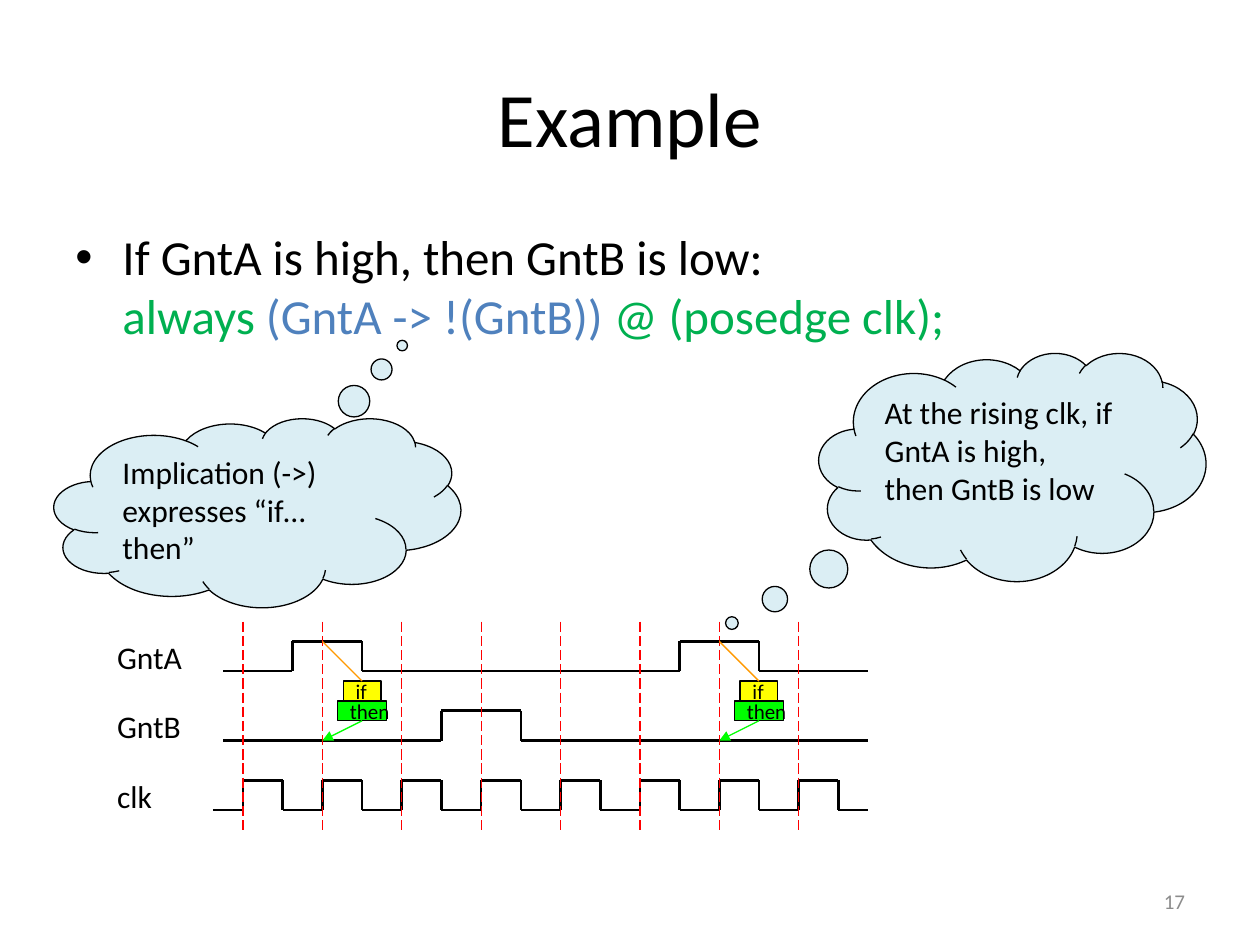
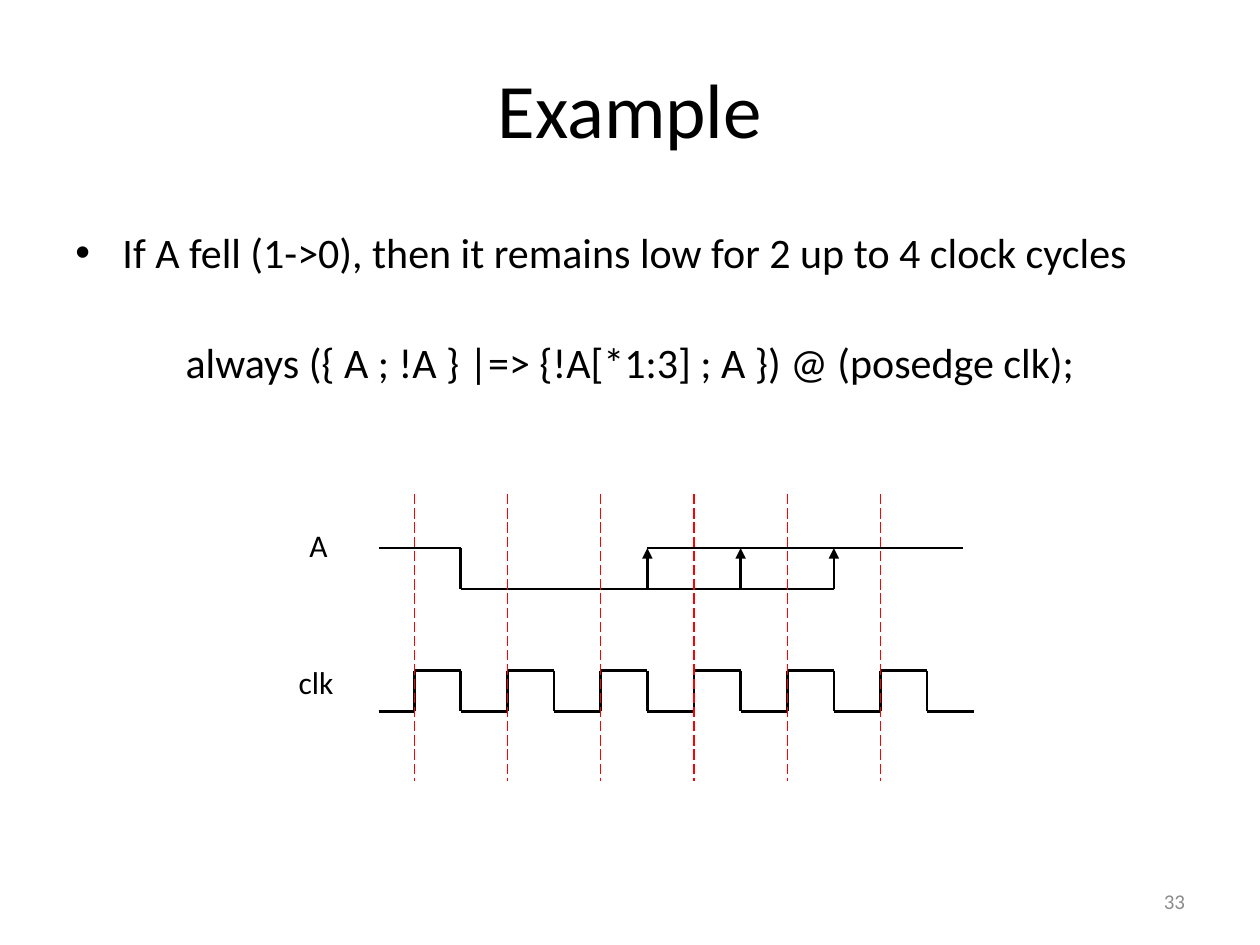
from dataclasses import dataclass
from itertools import pairwise

from lxml.etree import SubElement
from pptx import Presentation
from pptx.dml.color import RGBColor
from pptx.enum.dml import MSO_LINE
from pptx.enum.shapes import MSO_CONNECTOR, MSO_SHAPE
from pptx.enum.text import MSO_ANCHOR, MSO_AUTO_SIZE, PP_ALIGN
from pptx.oxml.ns import qn
from pptx.util import Cm, Pt

FONT = "Calibri"
BLACK, GREY, CLOUD = "000000", "8C8C8C", "DBEEF4"
GREEN, BLUE, RED = "00B050", "4F81BD", "FF0000"
YELLOW, LIME, ORANGE = "FFFF00", "00FF00", "FF9900"
TITLE_ONLY = 5
CLK_START = -0.38


def rgb(value):
    return RGBColor.from_string(value)


def set_attrs(obj, **formats):
    for name, value in formats.items():
        setattr(obj, name, value)


def cm_box(box):
    return [Cm(v) for v in box]


def add_run(p, text, size, color=BLACK):
    r = p.add_run()
    r.text = text
    set_attrs(r.font, name=FONT, size=Pt(size))
    r.font.color.rgb = rgb(color)


def add_textbox(s, box, **frame):
    tf = s.shapes.add_textbox(*cm_box(box)).text_frame
    set_attrs(tf, **{"word_wrap": True, **frame})
    return tf


def add_line(shapes, start, end, color=BLACK, width=1.5, dash=None, arrow=False):
    cxn = shapes.add_connector(MSO_CONNECTOR.STRAIGHT, *cm_box(start + end))
    cxn.line.color.rgb = rgb(color)
    set_attrs(cxn.line, width=Pt(width), dash_style=dash)
    sp_pr = cxn._element.spPr
    if arrow:
        SubElement(sp_pr.find(qn("a:ln")), qn("a:tailEnd"), type="triangle")
    SubElement(sp_pr, qn("a:effectLst"))


def add_filled(shapes, kind, box, fill, lines, size, **frame):
    """Outlined shape with one left-aligned paragraph for each line."""
    sp = shapes.add_shape(kind, *cm_box(box))
    sp.shadow.inherit = False
    sp.fill.solid()
    sp.fill.fore_color.rgb = rgb(fill)
    sp.line.color.rgb = rgb(BLACK)
    sp.line.width = Pt(0.75)
    tf = sp.text_frame
    set_attrs(tf, **frame)
    for i, line in enumerate(lines):
        p = tf.add_paragraph() if i else tf.paragraphs[0]
        p.alignment = PP_ALIGN.LEFT
        add_run(p, line, size)
    return sp


def add_cloud(s, box, tip, lines):
    """Thought cloud; tip is the offset of its tail as a share of its size."""
    sp = add_filled(s.shapes, MSO_SHAPE.CLOUD_CALLOUT, box, CLOUD, lines, 18,
                    word_wrap=True, vertical_anchor=MSO_ANCHOR.TOP)
    for i, value in enumerate(tip):
        sp.adjustments[i] = value


def add_base(prs, title_box, number):
    """Slide with its title and its number."""
    s = prs.slides.add_slide(prs.slide_layouts[TITLE_ONLY])
    title = s.shapes.title
    left, top, width, height = cm_box(title_box)
    set_attrs(title, left=left, top=top, width=width, height=height)
    title.text_frame.vertical_anchor = MSO_ANCHOR.MIDDLE
    p = title.text_frame.paragraphs[0]
    p.alignment = PP_ALIGN.CENTER
    add_run(p, "Example", 44)

    tf = add_textbox(s, (18.21, 17.65, 5.93, 1.02),
                     vertical_anchor=MSO_ANCHOR.MIDDLE)
    tf.paragraphs[0].alignment = PP_ALIGN.RIGHT
    add_run(tf.paragraphs[0], str(number), 12, GREY)
    return s


def add_bullet_body(s, height, text, size):
    tf = add_textbox(s, (1.27, 4.45, 22.86, height))
    p = tf.paragraphs[0]
    p_pr = p._p.get_or_add_pPr()
    p_pr.set("marL", str(Cm(0.95)))
    p_pr.set("indent", str(-Cm(0.95)))
    SubElement(p_pr, qn("a:buFont"), typeface="Arial")
    SubElement(p_pr, qn("a:buChar"), char="•")
    add_run(p, text, size)
    return tf


@dataclass
class Timing:
    """Timing diagram; x counts clock cycles from the first rising edge."""
    s: object
    left: float
    top: float
    cycle: float
    swing: float
    cycles: int

    def at(self, t, y):
        return self.left + t * self.cycle, self.top + y

    def label(self, text, x, y, width, height):
        tf = add_textbox(self.s, (x, self.top + y, width, height),
                         word_wrap=False,
                         auto_size=MSO_AUTO_SIZE.SHAPE_TO_FIT_TEXT)
        add_run(tf.paragraphs[0], text, 18)

    def wave(self, y, start, toggles, end, high=False):
        """Signal that changes level at each toggle; y is its high level."""
        points = [(start, high)]
        for t in toggles:
            points += [(t, high), (t, not high)]
            high = not high
        points.append((end, high))
        places = [self.at(t, y + (0 if up else self.swing)) for t, up in points]
        for a, b in pairwise(places):
            add_line(self.s.shapes, a, b)

    def clock(self, y, end):
        self.wave(y, CLK_START, [i / 2 for i in range(2 * self.cycles)], end)

    def edges(self, length):
        for t in range(self.cycles):
            add_line(self.s.shapes, self.at(t, 0), self.at(t, length),
                     RED, 0.75, MSO_LINE.LONG_DASH)


def add_if_then(timing, t, y_if, y_then):
    """Pair of tags that joins the condition to its result at edge t."""
    shapes = timing.s.shapes.add_group_shape().shapes
    center, top = timing.at(t + 0.5, y_if + 0.8)
    tag = 0.4
    rows = [("if", 0.76, YELLOW), ("then", 0.99, LIME)]
    for i, (text, width, fill) in enumerate(rows):
        box = (center - width / 2, top + i * tag, width, tag)
        add_filled(shapes, MSO_SHAPE.RECTANGLE, box, fill, [text], 12,
                   word_wrap=False, vertical_anchor=MSO_ANCHOR.MIDDLE)
    add_line(shapes, timing.at(t, y_if), (center, top), ORANGE, 0.75)
    add_line(shapes, (center, top + 2 * tag), timing.at(t, y_then),
             LIME, 0.75, arrow=True)


def implication_slide(prs):
    s = add_base(prs, (1.27, 0.76, 22.86, 3.18), 17)
    tf = add_bullet_body(s, 3.28, "If GntA is high, then GntB is low:", 28)
    p = tf.paragraphs[0]
    p.add_line_break()
    for text, color in [("always ", GREEN), ("(GntA -> !(GntB)) ", BLUE),
                        ("@ (posedge clk);", GREEN)]:
        add_run(p, text, 28, color)

    timing = Timing(s, left=4.9, top=12.53, cycle=1.6, swing=0.6, cycles=8)
    gnt_a, gnt_b, clk = (0.4 + 1.4 * i for i in range(3))
    for text, y, width in [("GntA", gnt_a, 1.96), ("GntB", gnt_b, 1.96),
                           ("clk", clk, 1.3)]:
        timing.label(text, 2.11, y - 0.2, width, 1.02)
    start, end = -0.25, 7.87
    timing.wave(gnt_a, start, [0.62, 1.5, 5.5, 6.5], end)
    timing.wave(gnt_b, start, [2.5, 3.5], end)
    timing.clock(clk, end)
    timing.edges(4.21)

    add_cloud(s, (16.51, 7.11, 7.8, 4.6), (-0.725, 0.685),
              ["At the rising clk, if GntA is high, then GntB is low"])
    add_cloud(s, (1.09, 8.43, 8.2, 3.81), (0.356, -0.884),
              ["Implication (->)", "expresses “if… then”"])
    for t in (1, 6):
        add_if_then(timing, t, gnt_a, gnt_b + timing.swing)


def repetition_slide(prs):
    s = add_base(prs, (1.55, 1.02, 22.3, 2.29), 33)
    tf = add_bullet_body(
        s, 4.65,
        "If A fell (1->0), then it remains low for 2 up to 4 clock cycles", 24)
    p = tf.add_paragraph()
    set_attrs(p, alignment=PP_ALIGN.CENTER, space_before=Pt(34))
    add_run(p, "always ({ A ; !A } |=> {!A[*1:3] ; A }) @ (posedge clk);", 24)

    timing = Timing(s, left=8.35, top=9.96, cycle=1.88, swing=0.82, cycles=6)
    a, clk = 1.09, 3.56
    timing.label("A", 5.99, 0.51, 1.09, 1.4)
    timing.label("clk", 5.77, 3.28, 1.52, 1.4)
    rises = [2.5, 3.5, 4.5]
    timing.wave(a, CLK_START, [0.5], rises[-1], high=True)
    timing.wave(a, rises[0], [], 5.88, high=True)
    timing.clock(clk, 6)
    timing.edges(5.79)
    for t in rises:
        add_line(s.shapes, timing.at(t, a + timing.swing), timing.at(t, a),
                 arrow=True)


def main():
    prs = Presentation()
    set_attrs(prs, slide_width=Cm(25.4), slide_height=Cm(19.05))
    implication_slide(prs)
    repetition_slide(prs)
    prs.save("out.pptx")


if __name__ == "__main__":
    main()
